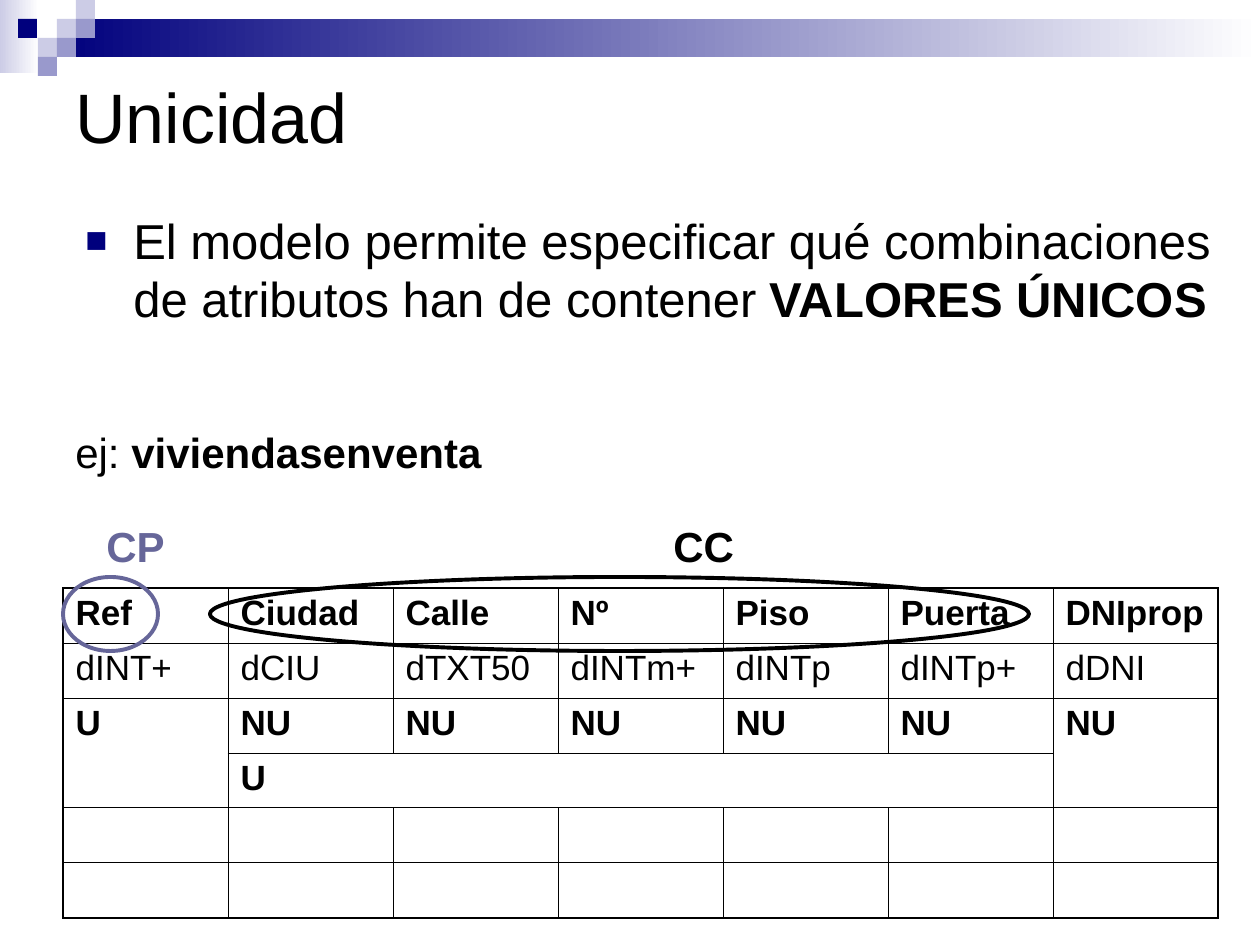
from lxml.etree import SubElement
from pptx import Presentation
from pptx.dml.color import RGBColor
from pptx.enum.shapes import MSO_SHAPE
from pptx.enum.text import MSO_ANCHOR, MSO_AUTO_SIZE
from pptx.oxml.ns import qn
from pptx.util import Pt

EMU_PER_PX = 914400 / 126
BLACK = RGBColor(0x00, 0x00, 0x00)
WHITE = RGBColor(0xFF, 0xFF, 0xFF)
NAVY = RGBColor(0x00, 0x00, 0x7D)
LAVENDER = RGBColor(0x99, 0x99, 0xCC)
PALE = RGBColor(0xCC, 0xCC, 0xE6)
SLATE = RGBColor(0x66, 0x66, 0x99)


def px(length):
    return round(length * EMU_PER_PX)


def write(paragraph, text, size=24, bold=False, color=BLACK, font="Arial"):
    run = paragraph.add_run()
    run.text = text
    run.font.name = font
    run.font.size = Pt(size)
    run.font.bold = bold
    run.font.color.rgb = color


class SlideBuilder:
    THIN, THICK = Pt(0.45), Pt(1.08)

    def __init__(self, slide):
        self.slide = slide

    def shape(self, kind, left, top, width, height):
        shape = self.slide.shapes.add_shape(
            kind, px(left), px(top), px(width), px(height))
        shape.shadow.inherit = False
        return shape

    def square(self, left, top, color, side=19):
        square = self.shape(MSO_SHAPE.RECTANGLE, left, top, side, side)
        square.fill.solid()
        square.fill.fore_color.rgb = color
        square.line.fill.background()

    def fade(self, left, top, width, height, color):
        band = self.shape(MSO_SHAPE.RECTANGLE, left, top, width, height)
        band.line.fill.background()
        band.fill.gradient()
        band.fill.gradient_angle = 0
        for stop, stop_color, position in zip(
                band.fill.gradient_stops, (color, WHITE), (0, 1)):
            stop.color.rgb = stop_color
            stop.position = position

    def ellipse(self, left, top, width, height, color):
        ellipse = self.shape(MSO_SHAPE.OVAL, left, top, width, height)
        ellipse.fill.background()
        ellipse.line.color.rgb = color
        ellipse.line.width = Pt(2.25)

    def text(self, left, top, width, height, wrap=True):
        box = self.slide.shapes.add_textbox(
            px(left), px(top), px(width), px(height))
        frame = box.text_frame
        frame.word_wrap = wrap
        frame.vertical_anchor = MSO_ANCHOR.TOP
        if not wrap:
            frame.auto_size = MSO_AUTO_SIZE.SHAPE_TO_FIT_TEXT
        return frame

    def bullet(self, paragraph, indent):
        properties = paragraph._p.get_or_add_pPr()
        properties.set("marL", str(px(indent)))
        properties.set("indent", str(-px(indent)))
        color = SubElement(properties, qn("a:buClr"))
        SubElement(color, qn("a:srgbClr"), val=str(NAVY))
        SubElement(properties, qn("a:buSzPct"), val="75000")
        SubElement(properties, qn("a:buFont"), typeface="Arial")
        SubElement(properties, qn("a:buChar"), char="■")

    def borders(self, cell, edges):
        properties = cell._tc.get_or_add_tcPr()
        for position, (side, outer) in enumerate(edges.items()):
            line = SubElement(properties, qn(f"a:ln{side}"),
                              w=str(self.THICK if outer else self.THIN))
            fill = SubElement(line, qn("a:solidFill"))
            SubElement(fill, qn("a:srgbClr"), val=str(BLACK))
            properties.insert(position, line)

    def table(self, left, top, column_width, row_height, rows, bold_rows, spans):
        row_count, column_count = len(rows), len(rows[0])
        table = self.slide.shapes.add_table(
            row_count, column_count, px(left), px(top),
            px(column_width * column_count), px(row_height * row_count)).table
        for column in table.columns:
            column.width = px(column_width)
        for row in table.rows:
            row.height = px(row_height)
        for r, values in enumerate(rows):
            for c, value in enumerate(values):
                cell = table.cell(r, c)
                cell.fill.background()
                self.borders(cell, {"L": c == 0, "R": c == column_count - 1,
                                    "T": r == 0, "B": r == row_count - 1})
                if value:
                    write(cell.text_frame.paragraphs[0], value, size=20,
                          bold=r in bold_rows)
        for first, last in spans:
            table.cell(*first).merge(table.cell(*last))


def main():
    presentation = Presentation()
    presentation.slide_width, presentation.slide_height = px(1260), px(945)
    slide = presentation.slides.add_slide(presentation.slide_layouts[6])
    builder = SlideBuilder(slide)

    # Header bands and mosaic
    builder.fade(0, 0, 39, 73, PALE)
    builder.fade(57, 19, 1203, 38, NAVY)
    for left, top, color in [
            (57, 19, PALE), (76, 0, PALE), (76, 19, LAVENDER), (38, 38, PALE),
            (18, 19, NAVY), (57, 38, LAVENDER), (38, 57, LAVENDER)]:
        builder.square(left, top, color)

    # Title
    title = builder.text(63, 63, 1134, 189)
    title.margin_top = px(11)
    write(title.paragraphs[0], "Unicidad", size=40)

    # Statement
    statement = builder.text(73, 204, 1160, 226).paragraphs[0]
    builder.bullet(statement, 48)
    write(statement, "El modelo permite especificar qué combinaciones "
                     "de atributos han de contener ", size=28)
    write(statement, "VALORES ÚNICOS", size=28, bold=True)

    # Example name
    example = builder.text(63, 420, 431, 63, wrap=False).paragraphs[0]
    write(example, "ej: ")
    write(example, "viviendasenventa", bold=True)

    # Table of attributes, domains and constraints
    empty = [""] * 7
    builder.table(63, 588, 165, 55, [
        ["Ref", "Ciudad", "Calle", "Nº", "Piso", "Puerta", "DNIprop"],
        ["dINT+", "dCIU", "dTXT50", "dINTm+", "dINTp", "dINTp+", "dDNI"],
        ["U"] + ["NU"] * 6,
        ["", "U"] + [""] * 5,
        empty,
        empty,
    ], bold_rows={0, 2, 3},
        spans=[((2, 0), (3, 0)), ((2, 6), (3, 6)), ((3, 1), (3, 5))])

    # Key markers
    for label, color, label_left, left, width in [
            ("CC", BLACK, 661, 210, 819), ("CP", SLATE, 94, 63, 95)]:
        builder.ellipse(left, 577, width, 74, color)
        frame = builder.text(label_left, 514, 88, 63, wrap=False)
        write(frame.paragraphs[0], label, bold=True, color=color)

    presentation.save("out.pptx")


if __name__ == "__main__":
    main()
